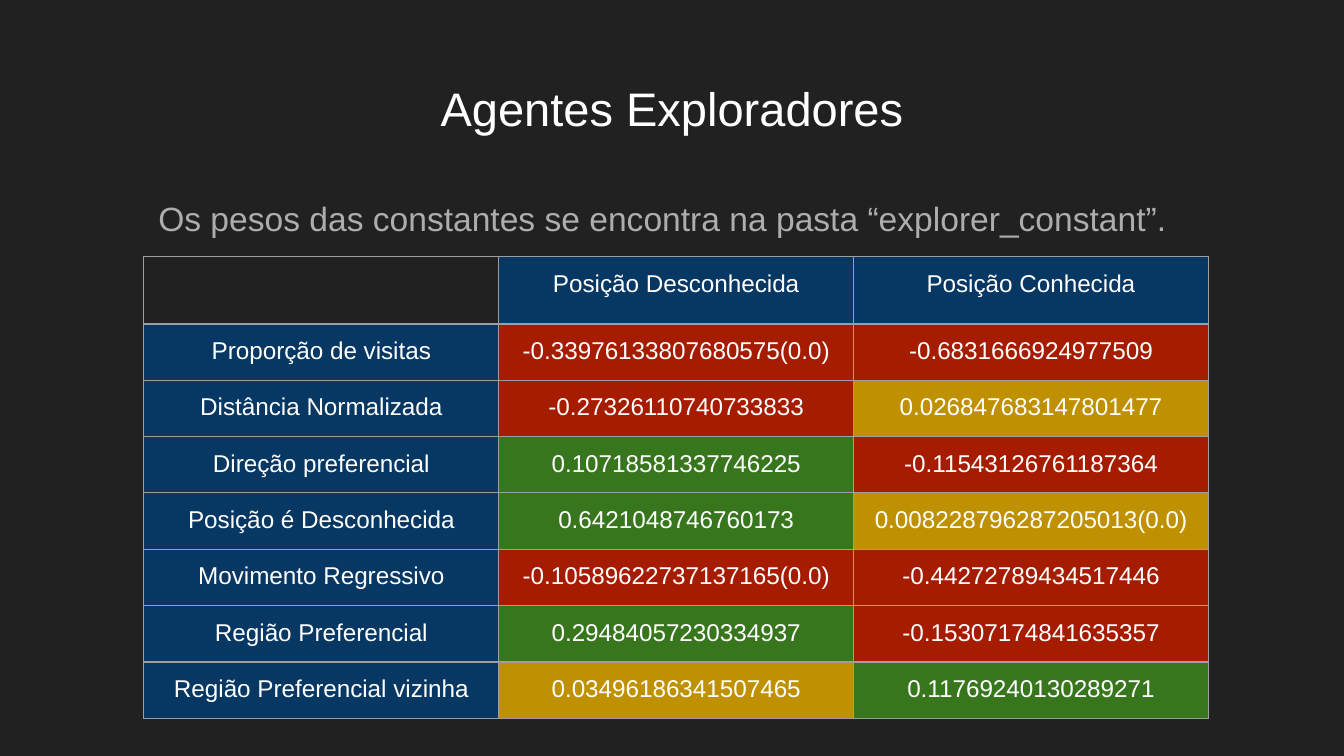
from lxml import etree
from pptx import Presentation
from pptx.dml.color import RGBColor
from pptx.enum import text as t
from pptx.oxml.ns import qn
from pptx.util import Inches, Pt

DARK = RGBColor(0x21, 0x21, 0x21)
WHITE = RGBColor(0xFF, 0xFF, 0xFF)
GRAY = RGBColor(0xAD, 0xAD, 0xAD)
BLUE = RGBColor(0x07, 0x37, 0x63)
RED = RGBColor(0xA6, 0x1C, 0x00)
GOLD = RGBColor(0xBF, 0x90, 0x00)
GREEN = RGBColor(0x38, 0x76, 0x1D)
EDGE = "9E9E9E"
PAD = Inches(0.1)

ROWS = [
    ("", "Posição Desconhecida", "Posição Conhecida"),
    ("Proporção de visitas", "-0.33976133807680575(0.0)", "-0.6831666924977509"),
    ("Distância Normalizada", "-0.27326110740733833", "0.026847683147801477"),
    ("Direção preferencial", "0.10718581337746225", "-0.11543126761187364"),
    ("Posição é Desconhecida", "0.6421048746760173", "0.008228796287205013(0.0)"),
    ("Movimento Regressivo", "-0.10589622737137165(0.0)", "-0.44272789434517446"),
    ("Região Preferencial", "0.29484057230334937", "-0.15307174841635357"),
    ("Região Preferencial vizinha", "0.03496186341507465", "0.11769240130289271"),
]
HEIGHTS = [0.42, 0.42, 0.42, 0.38, 0.42, 0.42, 0.42, 0.42]


def style(para, size, color, align):
    """Set the font and alignment of a paragraph."""
    para.alignment = align
    font = para.font
    font.name, font.size = "Arial", Pt(size)
    font.color.rgb = color


def inset(part):
    """Give a text frame or cell even margins."""
    part.margin_left = part.margin_right = PAD
    part.margin_top = part.margin_bottom = PAD


def label(slide, box, words, size, color, align):
    """Add one line of text in a box."""
    frame = slide.shapes.add_textbox(*map(Inches, box)).text_frame
    frame.word_wrap = True
    frame.vertical_anchor = t.MSO_ANCHOR.TOP
    inset(frame)
    para = frame.paragraphs[0]
    para.text = words
    style(para, size, color, align)


def shade(value):
    """Choose the colour of a weight by its sign and size."""
    weight = float(value.split("(")[0])
    if weight < 0:
        return RED
    return GREEN if weight > 0.1 else GOLD


def border(cell):
    """Draw a thin line on all four sides of a cell."""
    props = cell._tc.get_or_add_tcPr()
    for spot, side in enumerate(("lnL", "lnR", "lnT", "lnB")):
        line = etree.Element(qn("a:" + side), w=str(Pt(0.75)))
        fill = etree.SubElement(line, qn("a:solidFill"))
        etree.SubElement(fill, qn("a:srgbClr"), val=EDGE)
        props.insert(spot, line)


def grid(slide, left, top, width, height):
    """Add the table of weights."""
    frame = slide.shapes.add_table(
        len(ROWS), len(ROWS[0]), Inches(left), Inches(top),
        Inches(width), Inches(height))
    table = frame.table
    table.first_row = table.horz_banding = False
    for row, tall in zip(table.rows, HEIGHTS):
        row.height = Inches(tall)
    frame.height = Inches(height)
    for r, row in enumerate(ROWS):
        for c, words in enumerate(row):
            cell = table.cell(r, c)
            inset(cell)
            border(cell)
            if not words:
                cell.fill.background()
                continue
            para = cell.text_frame.paragraphs[0]
            para.text = words
            style(para, 13, WHITE, t.PP_ALIGN.CENTER)
            cell.fill.solid()
            head = r == 0 or c == 0
            cell.fill.fore_color.rgb = BLUE if head else shade(words)


def main():
    """Build and save the slide."""
    deck = Presentation()
    deck.slide_width = Inches(10)
    deck.slide_height = Inches(10) * 9 // 16
    slide = deck.slides.add_slide(deck.slide_layouts[6])
    slide.background.fill.solid()
    slide.background.fill.fore_color.rgb = DARK
    label(slide, (0.34, 0.49, 9.32, 0.63), "Agentes Exploradores",
          25.2, WHITE, t.PP_ALIGN.CENTER)
    label(slide, (0.58, 1.37, 8.9, 0.54),
          "\tOs pesos das constantes se encontra na pasta “explorer_constant”.",
          18, GRAY, t.PP_ALIGN.LEFT)
    grid(slide, 1.07, 1.91, 7.92, 3.28)
    deck.save("out.pptx")


if __name__ == "__main__":
    main()
